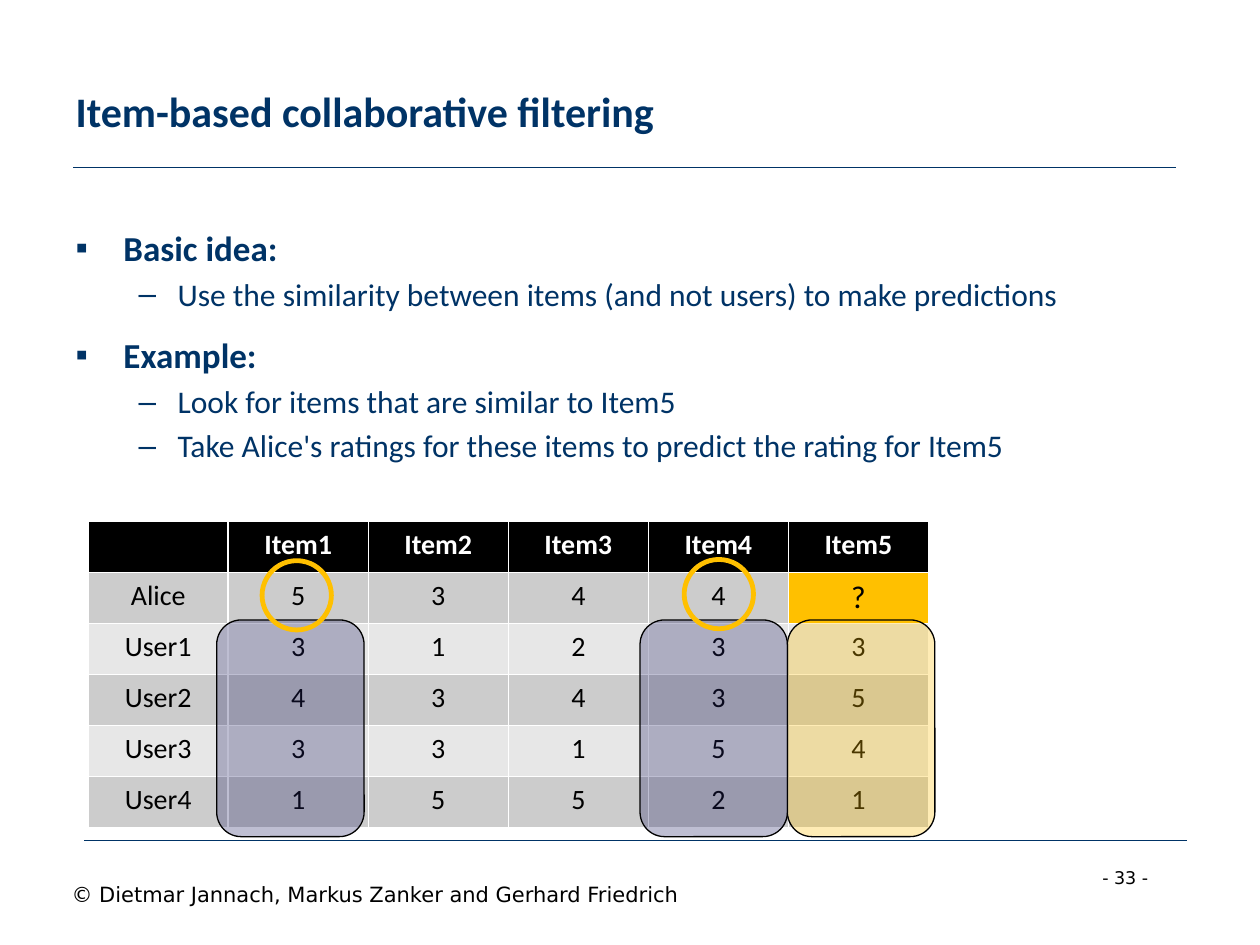
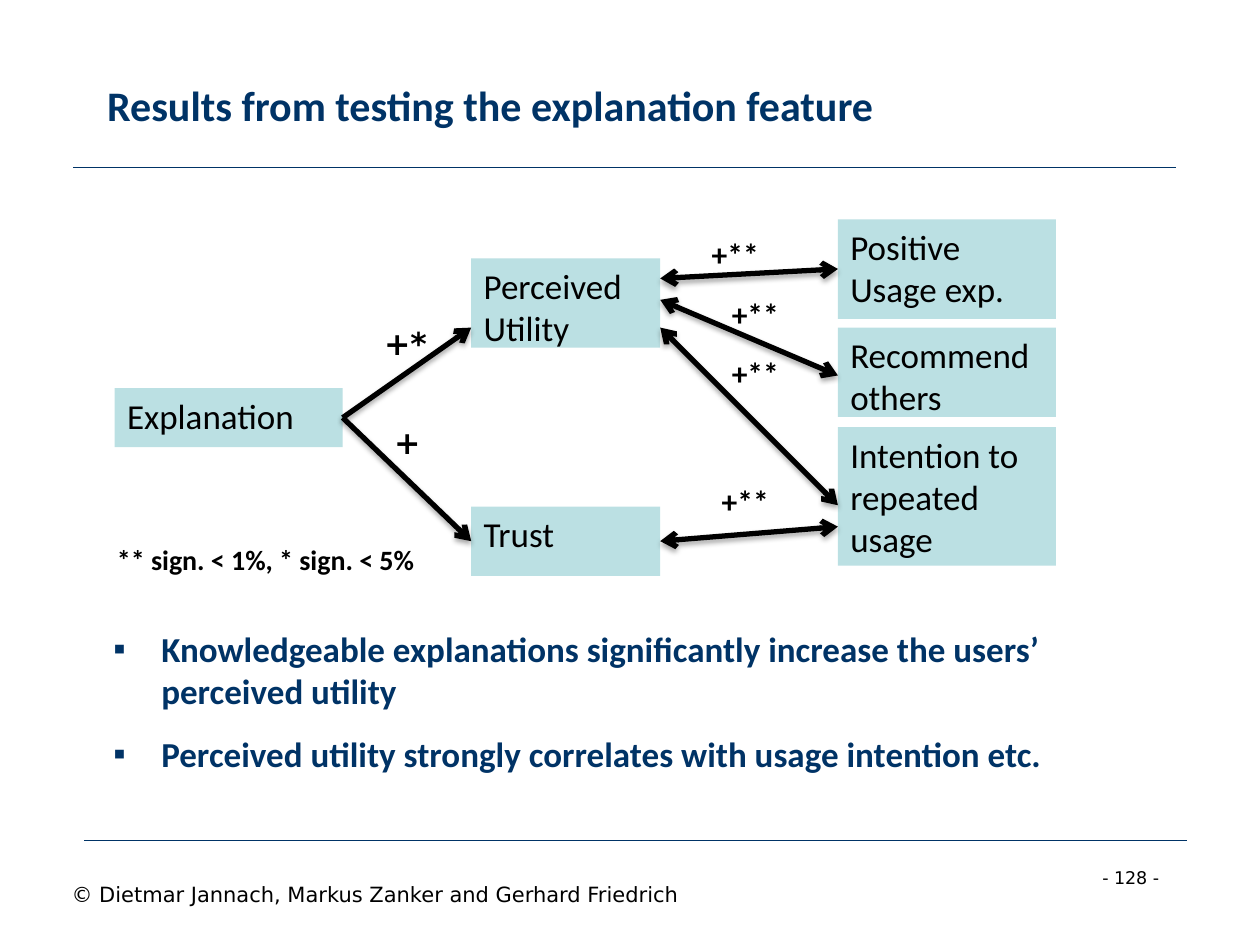
from lxml.etree import SubElement
from pptx import Presentation
from pptx.dml.color import RGBColor
from pptx.enum.shapes import MSO_CONNECTOR, MSO_SHAPE
from pptx.enum.text import MSO_ANCHOR, MSO_AUTO_SIZE, PP_ALIGN
from pptx.oxml.ns import qn
from pptx.util import Inches, Pt

NAVY = RGBColor(0x00, 0x33, 0x66)
BLACK = RGBColor(0x00, 0x00, 0x00)
WHITE = RGBColor(0xFF, 0xFF, 0xFF)
DARK_BAND = RGBColor(0xCC, 0xCC, 0xCC)
LIGHT_BAND = RGBColor(0xE7, 0xE7, 0xE7)
AMBER = RGBColor(0xFF, 0xC0, 0x00)
INDIGO = RGBColor(0x22, 0x22, 0x67)
PALE_TEAL = RGBColor(0xBB, 0xE0, 0xE3)

MAIN_FONT = "Calibri"
PLAIN_FONT = "DejaVu Sans"
COPYRIGHT = "© Dietmar Jannach, Markus Zanker and Gerhard Friedrich"

# bullet, left margin, first-line indent, space before, size, bold
LIST_LEVELS = (
    ("▪", 0.38, -0.38, 12, 20, True),
    ("–", 0.81, -0.31, 3.6, 18, False),
)

RATINGS = (
    ("", "Item1", "Item2", "Item3", "Item4", "Item5"),
    ("Alice", "5", "3", "4", "4", "?"),
    ("User1", "3", "1", "2", "3", "3"),
    ("User2", "4", "3", "4", "3", "5"),
    ("User3", "3", "3", "1", "5", "4"),
    ("User4", "1", "5", "5", "2", "1"),
)


def inches(*lengths):
    return [Inches(length) for length in lengths]


def format_runs(para, size, color=BLACK, bold=False, font=MAIN_FONT):
    for span in para.runs:
        span.font.name = font
        span.font.size = Pt(size)
        span.font.bold = bold
        span.font.color.rgb = color


def move(shape, place):
    shape.left, shape.top, shape.width, shape.height = inches(*place)


def add_label(page, text, place, size, bold=False, font=MAIN_FONT, wrap=True):
    box = page.shapes.add_textbox(*inches(*place))
    frame = box.text_frame
    frame.word_wrap = wrap
    frame.auto_size = MSO_AUTO_SIZE.SHAPE_TO_FIT_TEXT
    frame.text = text
    format_runs(frame.paragraphs[0], size, bold=bold, font=font)


def add_line(page, start, end, color, width):
    line = page.shapes.add_connector(MSO_CONNECTOR.STRAIGHT, *inches(*start, *end))
    line.line.color.rgb = color
    line.line.width = Pt(width)
    effects = SubElement(line._element.spPr, qn("a:effectLst"))
    return line, effects


def add_page(deck, number, title, title_place):
    """Add a slide with its title, the two rules and the footer."""
    page = deck.slides.add_slide(deck.slide_layouts[1])
    for left, top in ((0.58, 1.33), (0.67, 6.67)):
        add_line(page, (left, top), (left + 8.75, top), NAVY, 0.75)
    add_label(page, f"- {number} -", (8.65, 6.83, 0.76, 0.27), 10,
              font=PLAIN_FONT, wrap=False)
    add_label(page, COPYRIGHT, (0.47, 6.95, 6.34, 0.3), 12, font=PLAIN_FONT)

    heading = page.shapes.title
    move(heading, title_place)
    frame = heading.text_frame
    frame.text = title
    frame.auto_size = MSO_AUTO_SIZE.NONE
    frame.vertical_anchor = MSO_ANCHOR.MIDDLE
    frame.paragraphs[0].alignment = PP_ALIGN.LEFT
    format_runs(frame.paragraphs[0], 24, NAVY, bold=True)
    return page


def fill_list(page, place, items):
    """Write (level, text) items into the body placeholder."""
    body = page.placeholders[1]
    move(body, place)
    frame = body.text_frame
    frame.auto_size = MSO_AUTO_SIZE.NONE
    frame.text = "\n".join(text for _, text in items)
    for index, (para, (level, _)) in enumerate(zip(frame.paragraphs, items)):
        bullet, margin, indent, space, size, bold = LIST_LEVELS[level]
        para.level = level
        properties = para._p.get_or_add_pPr()
        properties.set("marL", str(Inches(margin)))
        properties.set("indent", str(Inches(indent)))
        SubElement(properties, qn("a:buChar"), char=bullet)
        para.space_before = Pt(space if index else 0)
        format_runs(para, size, NAVY, bold)


def cell_fill(row, text):
    if row == 0:
        return BLACK
    if text == "?":
        return AMBER
    return DARK_BAND if row % 2 else LIGHT_BAND


def add_ratings_table(page, place):
    rows, columns = len(RATINGS), len(RATINGS[0])
    table = page.shapes.add_table(rows, columns, *inches(*place)).table
    for row, ratings in enumerate(RATINGS):
        for column, text in enumerate(ratings):
            cell = table.cell(row, column)
            cell.fill.solid()
            cell.fill.fore_color.rgb = cell_fill(row, text)
            cell.text = text
            para = cell.text_frame.paragraphs[0]
            para.alignment = PP_ALIGN.CENTER
            format_runs(para, 18 if text == "?" else 16,
                        BLACK if row else WHITE, bold=row == 0)


def add_column_highlight(page, left, color):
    shape = page.shapes.add_shape(MSO_SHAPE.ROUNDED_RECTANGLE,
                                  *inches(left, 4.92, 1.17, 1.72))
    shape.shadow.inherit = False
    shape.fill.solid()
    shape.fill.fore_color.rgb = color
    fill_color = shape._element.spPr.find(qn("a:solidFill"))[0]
    SubElement(fill_color, qn("a:alpha"), val="29000")
    shape.line.color.rgb = BLACK
    shape.line.width = Pt(0.75)


def add_rating_ring(page, left, top):
    ring = page.shapes.add_shape(MSO_SHAPE.OVAL, *inches(left, top, 0.55, 0.55))
    ring.shadow.inherit = False
    ring.fill.background()
    ring.line.color.rgb = AMBER
    ring.line.width = Pt(2.75)


def add_concept(page, text, place):
    box = page.shapes.add_shape(MSO_SHAPE.RECTANGLE, *inches(*place))
    box.shadow.inherit = False
    box.fill.solid()
    box.fill.fore_color.rgb = PALE_TEAL
    box.line.fill.background()
    frame = box.text_frame
    frame.word_wrap = True
    frame.vertical_anchor = MSO_ANCHOR.TOP
    frame.text = text
    for para in frame.paragraphs:
        para.alignment = PP_ALIGN.LEFT
        format_runs(para, 20)
    return box


def add_arrow(page, start, end, source=None, target=None, both_ways=True):
    """Draw a shadowed arrow, joined to source's right and target's left side."""
    arrow, effects = add_line(page, start, end, BLACK, 3)
    if source:
        arrow.begin_connect(source, 3)
    if target:
        arrow.end_connect(target, 1)
    outline = arrow.line._get_or_add_ln()
    if both_ways:
        SubElement(outline, qn("a:headEnd"), type="arrow")
    SubElement(outline, qn("a:tailEnd"), type="arrow")
    shadow = SubElement(effects, qn("a:outerShdw"), blurRad=str(Pt(3.1)),
                        dist=str(Pt(1.8)), dir="5400000", rotWithShape="0")
    color = SubElement(shadow, qn("a:srgbClr"), val=str(BLACK))
    SubElement(color, qn("a:alpha"), val="35000")


def add_filtering_page(deck):
    page = add_page(deck, 33, "Item-based collaborative filtering",
                    (0.5, 0.25, 9, 1.25))
    fill_list(page, (0.5, 1.75, 9, 4.95), (
        (0, "Basic idea:"),
        (1, "Use the similarity between items (and not users) to make predictions"),
        (0, "Example:"),
        (1, "Look for items that are similar to Item5"),
        (1, "Take Alice's ratings for these items to predict the rating for Item5"),
    ))
    add_ratings_table(page, (0.7, 4.14, 6.67, 2.43))
    for left, color in ((6.25, AMBER), (1.72, INDIGO), (5.08, INDIGO)):
        add_column_highlight(page, left, color)
    add_rating_ring(page, 2.08, 4.45)
    add_rating_ring(page, 5.43, 4.44)


def add_results_page(deck):
    page = add_page(deck, 128, "Results from testing the explanation feature",
                    (0.75, 0.21, 8.19, 1.25))
    fill_list(page, (0.8, 4.93, 8.5, 1.42), (
        (0, "Knowledgeable explanations significantly increase the users’ "
            "perceived utility"),
        (0, "Perceived utility strongly correlates with usage intention etc."),
    ))

    explanation = add_concept(page, "Explanation", (0.91, 3.08, 1.81, 0.47))
    trust = add_concept(page, "Trust", (3.74, 4.02, 1.5, 0.55))
    add_concept(page, "Perceived\nUtility", (3.74, 2.05, 1.5, 0.71))
    usage = add_concept(page, "Positive\nUsage exp.", (6.65, 1.74, 1.73, 0.79))
    add_concept(page, "Recommend others", (6.65, 2.6, 1.73, 0.71))
    add_concept(page, "Intention to repeated usage", (6.65, 3.39, 1.73, 1.1))

    add_arrow(page, (2.72, 3.31), (3.74, 2.6), explanation, both_ways=False)
    add_arrow(page, (2.72, 3.31), (3.74, 4.3), explanation, trust, both_ways=False)
    add_arrow(page, (5.24, 2.6), (6.65, 4.01))
    add_arrow(page, (5.24, 2.38), (6.65, 2.98))
    add_arrow(page, (5.24, 2.21), (6.65, 2.13), target=usage)
    add_arrow(page, (5.24, 4.3), (6.65, 4.18), source=trust)

    add_label(page, "** sign. < 1%, * sign. < 5%", (0.83, 4.26, 2.59, 0.37), 16,
              bold=True, wrap=False)
    add_label(page, "+*", (2.95, 2.52, 0.63, 0.4), 18, bold=True, font=PLAIN_FONT)
    add_label(page, "+", (3.03, 3.31, 0.39, 0.4), 18, bold=True, font=PLAIN_FONT)
    for left, top in ((5.55, 1.82), (5.71, 2.29), (5.71, 2.76), (5.63, 3.78)):
        add_label(page, "+**", (left, top, 0.63, 0.4), 18, bold=True)


def main():
    deck = Presentation()
    deck.slide_width, deck.slide_height = inches(10, 7.5)
    add_filtering_page(deck)
    add_results_page(deck)
    deck.save("out.pptx")


if __name__ == "__main__":
    main()
